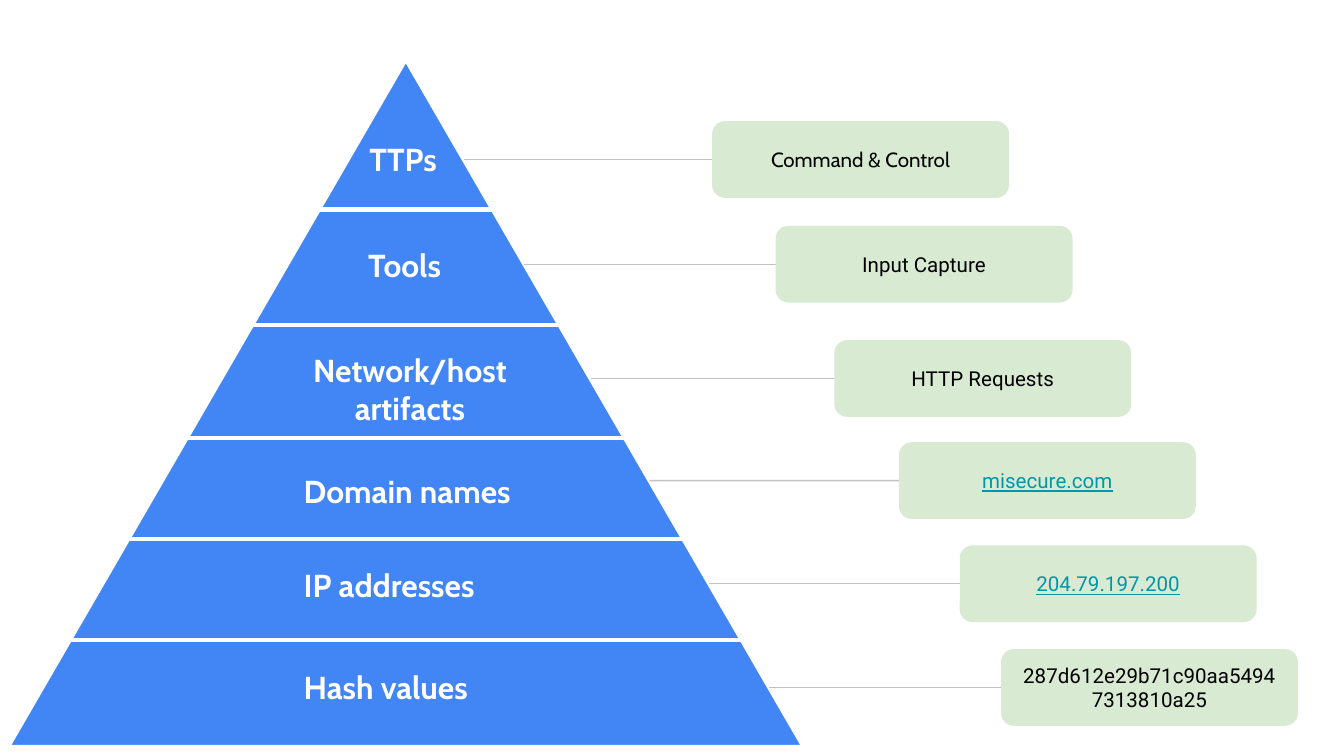
from lxml import etree
from pptx import Presentation
from pptx.dml.color import RGBColor
from pptx.enum.shapes import MSO_CONNECTOR, MSO_SHAPE
from pptx.enum.text import MSO_ANCHOR, MSO_AUTO_SIZE, PP_ALIGN
from pptx.oxml.ns import qn
from pptx.util import Cm, Pt

TRIANGLE = MSO_SHAPE.ISOSCELES_TRIANGLE
ROUNDED = MSO_SHAPE.ROUNDED_RECTANGLE
STRAIGHT = MSO_CONNECTOR.STRAIGHT
LEFT, CENTER = PP_ALIGN.LEFT, PP_ALIGN.CENTER
MIDDLE, TOP = MSO_ANCHOR.MIDDLE, MSO_ANCHOR.TOP
GROW, FIXED = MSO_AUTO_SIZE.SHAPE_TO_FIT_TEXT, MSO_AUTO_SIZE.NONE

PYRAMID = (0.15, 1.12, 15.04, 13)
TAG_W, TAG_H = 5.61, 1.45
INSET = 0.25
BLACK, WHITE, TEAL = "000000", "FFFFFF", "0097A7"
BLUE, GREEN, GREY = "4285F4", "D9EAD3", "C2C2C2"

DIVIDERS = [2.84, 5.03, 7.16, 9.07, 10.97]
LABELS = [
    ("TTPs", 6.58, 1.27, 2.24, 1.24, LEFT),
    ("Tools", 6.56, 3.27, 2.24, 1.24, LEFT),
    ("Network/host artifacts", 4.83, 5.26, 5.54, 1.96, CENTER),
    ("Domain names", 5.34, 7.54, 5.69, 1.24, LEFT),
    ("IP addresses", 5.34, 9.32, 5.69, 1.24, LEFT),
    ("Hash values", 5.34, 11.25, 5.69, 1.24, LEFT),
]
TAGS = [
    ("Command & Control", 13.46, 2.29, "Cabin", BLACK, False),
    ("Input Capture", 14.66, 4.27, "Roboto", BLACK, False),
    ("HTTP Requests", 15.77, 6.43, "Roboto", BLACK, False),
    ("misecure.com", 16.99, 8.36, "Roboto", TEAL, True),
    ("204.79.197.200", 18.14, 10.31, "Roboto", TEAL, True),
    ("287d612e29b71c90aa54947313810a25", 18.92, 12.27, "Roboto", BLACK, False),
]


def rgb(value):
    return RGBColor.from_string(value)


def set_attrs(obj, values):
    for name, value in values.items():
        setattr(obj, name, value)


def add_text(sp, text, color, align, frame, font):
    tf = sp.text_frame
    margins = {f"margin_{side}": Cm(INSET) for side in ("left", "top", "right", "bottom")}
    set_attrs(tf, {"word_wrap": True, **margins, **frame})
    p = tf.paragraphs[0]
    p.alignment = align
    r = p.add_run()
    r.text = text
    set_attrs(r.font, font)
    r.font.color.rgb = rgb(color)


def add_line(shapes, x1, y1, x2, y2, color, width):
    cxn = shapes.add_connector(STRAIGHT, Cm(x1), Cm(y1), Cm(x2), Cm(y2))
    cxn.line.color.rgb = rgb(color)
    cxn.line.width = Pt(width)
    etree.SubElement(cxn._element.spPr, qn("a:effectLst"))
    return cxn


def half_width(box, y):
    left, top, w, h = box
    return (y - top) * w / (2 * h)


def add_pyramid(s, box):
    left, top, w, h = box
    middle = left + w / 2
    shapes = s.shapes.add_group_shape().shapes
    sp = shapes.add_shape(TRIANGLE, Cm(left), Cm(top), Cm(w), Cm(h))
    sp.shadow.inherit = False
    sp.fill.solid()
    sp.fill.fore_color.rgb = rgb(BLUE)
    sp.line.color.rgb = rgb(WHITE)
    sp.line.width = Pt(2.25)
    for dy in DIVIDERS:
        y = top + dy
        half = half_width(box, y)
        add_line(shapes, middle - half, y, middle + half, y, WHITE, 2.25)
    for text, dx, dy, label_w, label_h, align in LABELS:
        tb = s.shapes.add_textbox(Cm(left + dx), Cm(top + dy), Cm(label_w), Cm(label_h))
        add_text(tb, text, WHITE, align,
                 {"vertical_anchor": TOP, "auto_size": GROW},
                 {"name": "Cabin", "size": Pt(17), "bold": True})


def add_tag(s, box, pyramid, text, font_name, color, underline):
    left, top, w, h = box
    y = top + h / 2
    edge = pyramid[0] + pyramid[2] / 2 + half_width(pyramid, y)
    cxn = add_line(s.shapes, edge, y, left, y, GREY, 0.75)
    sp = s.shapes.add_shape(ROUNDED, Cm(left), Cm(top), Cm(w), Cm(h))
    sp.shadow.inherit = False
    sp.fill.solid()
    sp.fill.fore_color.rgb = rgb(GREEN)
    sp.line.fill.background()
    add_text(sp, text, color, CENTER,
             {"vertical_anchor": MIDDLE, "auto_size": FIXED},
             {"name": font_name, "size": Pt(11), "underline": underline})
    cxn.end_connect(sp, 1)


def main():
    prs = Presentation()
    set_attrs(prs, {"slide_width": Cm(25.4), "slide_height": Cm(14.29)})
    s = prs.slides.add_slide(prs.slide_layouts[6])
    add_pyramid(s, PYRAMID)
    for text, left, top, font_name, color, underline in TAGS:
        add_tag(s, (left, top, TAG_W, TAG_H), PYRAMID, text, font_name, color, underline)
    prs.save("out.pptx")


if __name__ == "__main__":
    main()
